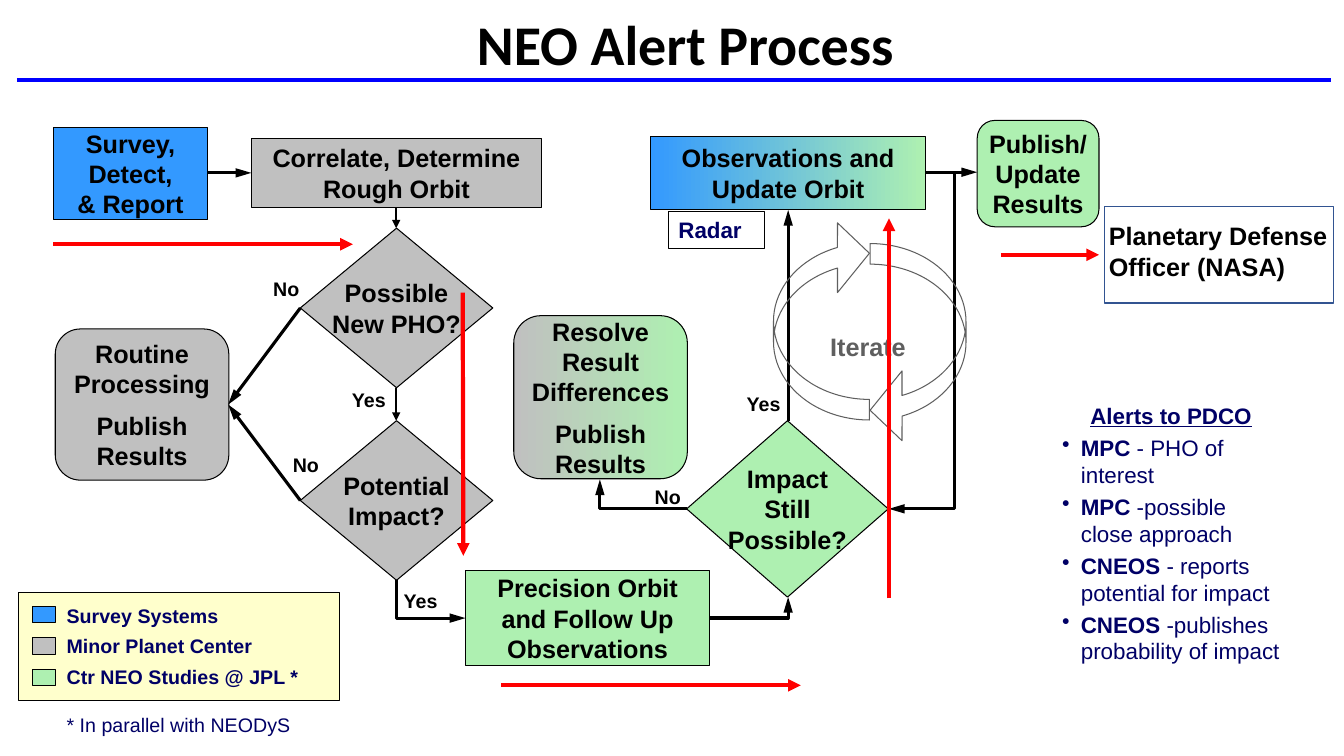
import pptx
import pptx.chart.data
import pptx.dml.color
import pptx.enum.shapes
import pptx.enum.text
import pptx.oxml
import pptx.oxml.ns
import pptx.util

Pt = pptx.util.Pt
RGB = pptx.dml.color.RGBColor
KIND = pptx.enum.shapes.MSO_SHAPE
LINK = pptx.enum.shapes.MSO_CONNECTOR
ALIGN = pptx.enum.text.PP_ALIGN
ANCHOR = pptx.enum.text.MSO_ANCHOR

BLACK = RGB(0, 0, 0)
WHITE = RGB(255, 255, 255)
SKY = RGB(0x33, 0x99, 0xFF)
GREY = RGB(0xC0, 0xC0, 0xC0)
GREEN = RGB(0xAE, 0xF0, 0xB1)
CREAM = RGB(0xFF, 0xFF, 0xCC)
NAVY = RGB(0, 0, 0x66)
SLATE = RGB(0x5F, 0x5F, 0x5F)
STEEL = RGB(0x32, 0x54, 0x91)
RED = RGB(255, 0, 0)
BLUE = RGB(0, 0, 255)

BASE = dict(name="Arial", size=Pt(18), bold=True)
SMALL = BASE | dict(size=Pt(14))
MID = BASE | dict(size=Pt(16))
TITLE = BASE | dict(name="Calibri", size=Pt(40))
CENTER = dict(alignment=ALIGN.CENTER)
LEFT = dict(alignment=ALIGN.LEFT)
LOOSE = dict(word_wrap=False, vertical_anchor=ANCHOR.MIDDLE)
TOP = dict(word_wrap=True, vertical_anchor=ANCHOR.TOP)


def apply(obj, form):
    for key, val in form.items():
        setattr(obj, key, val)


def place(box, spot):
    x, y, w, h = spot
    return Pt(box[0] + x), Pt(box[1] + y), Pt(w), Pt(h)


def write(shape, lines, font=BASE, ink=BLACK, para=CENTER, frame=LOOSE):
    """Each line is a string, or a list of (string, format) runs."""
    text = shape.text_frame
    apply(text, frame)
    for i, line in enumerate(lines):
        p = text.paragraphs[0] if i == 0 else text.add_paragraph()
        apply(p, para)
        for words, form in [(line, {})] if isinstance(line, str) else line:
            run = p.add_run()
            run.text = words
            apply(run.font, font | form)
            run.font.color.rgb = ink
    return text.paragraphs


def label(sl, box, spot, lines, **look):
    return write(sl.shapes.add_textbox(*place(box, spot)), lines, **look)


def node(sl, box, kind, spot, fill=None, edge=BLACK, width=0.75):
    shape = sl.shapes.add_shape(kind, *place(box, spot))
    shape.shadow.inherit = False
    if fill is None:
        shape.fill.background()
    elif isinstance(fill, list):
        shape.fill.gradient()
        shape.fill.gradient_angle = 0
        for stop, tone in zip(shape.fill.gradient_stops, fill):
            stop.color.rgb = tone
    else:
        shape.fill.solid()
        shape.fill.fore_color.rgb = fill
    shape.line.color.rgb = edge
    shape.line.width = Pt(width)
    return shape


def line(sl, box, ends, ink=BLACK, width=2.25, tip="tailEnd", bend=None, adj=None):
    x, y = box[:2]
    a, b, c, d = ends
    kind = LINK.ELBOW if bend else LINK.STRAIGHT
    link = sl.shapes.add_connector(kind, Pt(x + a), Pt(y + b), Pt(x + c), Pt(y + d))
    link.line.color.rgb = ink
    link.line.width = Pt(width)
    props = link._element.spPr
    if bend:
        geom = props.find(pptx.oxml.ns.qn("a:prstGeom"))
        geom.set("prst", bend)
        if adj is not None:
            geom.get_or_add_avLst()
            add(geom.avLst, "gd", name="adj1", fmla=f"val {adj}")
    if tip:
        size = "lg" if width == 2.25 else "med"
        add(link.line._get_or_add_ln(), tip, type="triangle", w="med", len=size)
    add(props, "effectLst")


def add(parent, tag, **attrs):
    ns = pptx.oxml.ns.nsdecls("a")
    item = pptx.oxml.parse_xml(f"<a:{tag} {ns}/>")
    for key, val in attrs.items():
        item.set(key, val)
    parent.append(item)


def steps(sl, box, items):
    for kind, spot, fill, lines, gap in items:
        paras = write(node(sl, box, kind, spot, fill), lines)
        if gap is not None:
            paras[gap].space_after = Pt(8)


def marks(sl, box, items):
    for words, x, y in items:
        label(sl, box, (x, y, 83, 24), [words], font=SMALL, frame=TOP)


def head(sl, box):
    label(sl, box, (312.5, 0, 330, 90), ["NEO Alert Process"], font=TITLE)
    line(sl, box, (0, 71.5, box[2], 71.5), BLUE, 3, None)


def screen(sl, box):
    # Steps
    steps(sl, box, [
        (KIND.RECTANGLE, (0, 0, 110.5, 66), SKY, ["Survey,", "Detect,", "& Report"], None),
        (KIND.RECTANGLE, (141.5, 8, 207.5, 49), GREY,
         ["Correlate, Determine", "Rough Orbit"], None),
        (KIND.FLOWCHART_DECISION, (176.5, 72, 137.5, 114), GREY, ["Possible", "New PHO?"], None),
        (KIND.FLOWCHART_DECISION, (176.5, 209.5, 137.5, 114), GREY,
         ["Potential", "Impact?"], None),
        (KIND.FLOWCHART_ALTERNATE_PROCESS, (1.5, 144, 124, 108), GREY,
         ["Routine", "Processing", "Publish", "Results"], 1)])
    # Arrows and answers
    for ends in [(110.5, 32.5, 141.5, 32.5), (176.5, 129, 125, 198), (176.5, 266.5, 125, 198)]:
        line(sl, box, ends)
    for top, end in [(57, 72), (186, 209.5)]:
        line(sl, box, (245, top, 245, end), width=1.5)
    marks(sl, box, [("Yes", 184, 182.5), ("No", 125, 103), ("No", 139, 229), ("Yes", 221, 326)])
    # Alert arrows
    for ends in [(0, 83.5, 214, 83.5), (292.5, 118, 293, 306)]:
        line(sl, box, ends, RED, 3)


def follow(sl, box):
    # Steps
    steps(sl, box, [
        (KIND.RECTANGLE, (0.5, 321.5, 174.5, 68), GREEN,
         ["Precision Orbit", "and Follow Up", "Observations"], None),
        (KIND.FLOWCHART_DECISION, (158.5, 214.5, 144, 126), GREEN,
         ["Impact", "Still", "Possible?"], None),
        (KIND.RECTANGLE, (133, 11.5, 196, 52), [SKY, GREEN],
         ["Observations and", "Update Orbit"], None),
        (KIND.FLOWCHART_ALTERNATE_PROCESS, (35, 139.5, 124, 116.5), [GREY, GREEN],
         ["Resolve", "Result", "Differences", "Publish", "Results"], 2),
        (KIND.FLOWCHART_ALTERNATE_PROCESS, (366, 0, 87, 76), GREEN,
         ["Publish/", "Update", "Results"], None)])
    radar = node(sl, box, KIND.RECTANGLE, (145.5, 64.5, 68.5, 26.5), width=0.25)
    write(radar, ["Radar"], MID, NAVY, LEFT, TOP | dict(word_wrap=False))
    # Arrows and answers
    for ends in [(231, 214.5, 231, 64), (329, 37, 366, 37)]:
        line(sl, box, ends)
    line(sl, box, (0.5, 355.5, -49, 328.5), tip="headEnd", bend="bentConnector2")
    for ends in [(175, 355.5, 231, 340.5), (158.5, 277.5, 96.5, 256.5)]:
        line(sl, box, ends, bend="bentConnector2")
    line(sl, box, (329, 37, 303, 277.5), bend="bentConnector3", adj=-80400)
    marks(sl, box, [("No", 103.5, 257), ("Yes", 172, 190.5)])
    # Iteration loop
    for x, y, turn in [(289.5, 88, 0), (220.5, 70, 180)]:
        loop = node(sl, box, KIND.CURVED_LEFT_ARROW, (x, y, 68.5, 144), edge=SLATE)
        loop.rotation = turn
        for i, val in enumerate([0.215, 0.727, 0.333]):
            loop.adjustments[i] = val
    label(sl, box, (246, 149.5, 84, 24), ["Iterate"], ink=SLATE)
    # Alert arrows
    for ends in [(26, 403.5, 240, 403.5), (303, 341.5, 303, 70)]:
        line(sl, box, ends, RED, 3)


def legend(sl, box):
    node(sl, box, KIND.RECTANGLE, (0, 0, *box[2:]), CREAM)
    for i, fill in enumerate([SKY, GREY, GREEN]):
        node(sl, box, KIND.RECTANGLE, (10, 9.5 + 22.5 * i, 16.5, 12), fill)
    paras = label(sl, box, (27.5, 2.5, 211.5, 104), [
        "Survey Systems", "Minor Planet Center", "Ctr NEO Studies @ JPL *",
        [("* In parallel with NEODyS", dict(bold=False))]],
        font=SMALL, ink=NAVY, frame=TOP,
        para=LEFT | dict(line_spacing=1.1, space_after=Pt(3.3)))
    paras[-1].space_before = Pt(13)


def alerts(sl, box):
    items = [("MPC", " - PHO of interest"), ("MPC", " -possible close approach"),
             ("CNEOS", " - reports potential for impact"),
             ("CNEOS", " -publishes probability of impact")]
    rows = [[(who, {}), (what, dict(bold=False))] for who, what in items]
    paras = label(sl, box, (0, 0, *box[2:]), [[("Alerts to PDCO", dict(underline=True))]] + rows,
                  font=MID, ink=NAVY, para=LEFT | dict(space_after=Pt(3.7)), frame=TOP)
    paras[0].alignment = ALIGN.CENTER
    for i, p in enumerate(paras):
        props = p._p.get_or_add_pPr()
        props.set("marL", str(Pt(13.5)))
        props.set("indent", str(-Pt(13.5)))
        if i:
            add(props, "buChar", char="•")


def officer(sl, box):
    line(sl, box, (0, 35, 70, 35), RED, 3)
    node(sl, box, KIND.RECTANGLE, (74, 0.5, 163.5, 69), WHITE, STEEL, 1)
    label(sl, box, (70, 7, 172, 51), ["Planetary Defense", "Officer (NASA)"],
          para=LEFT, frame=TOP | dict(word_wrap=False))


def main():
    deck = pptx.Presentation()
    apply(deck, dict(slide_width=Pt(960), slide_height=Pt(540)))
    sl = deck.slides.add_slide(deck.slide_layouts[6])
    head(sl, (12, -14.5, 939, 90))
    screen(sl, (38, 91, 349, 324))
    follow(sl, (332, 86, 453, 404))
    legend(sl, (13, 423.5, 229.5, 77))
    alerts(sl, (751.5, 283.5, 170, 240))
    officer(sl, (715, 147, 242, 70))
    deck.save("out.pptx")


if __name__ == "__main__":
    main()
